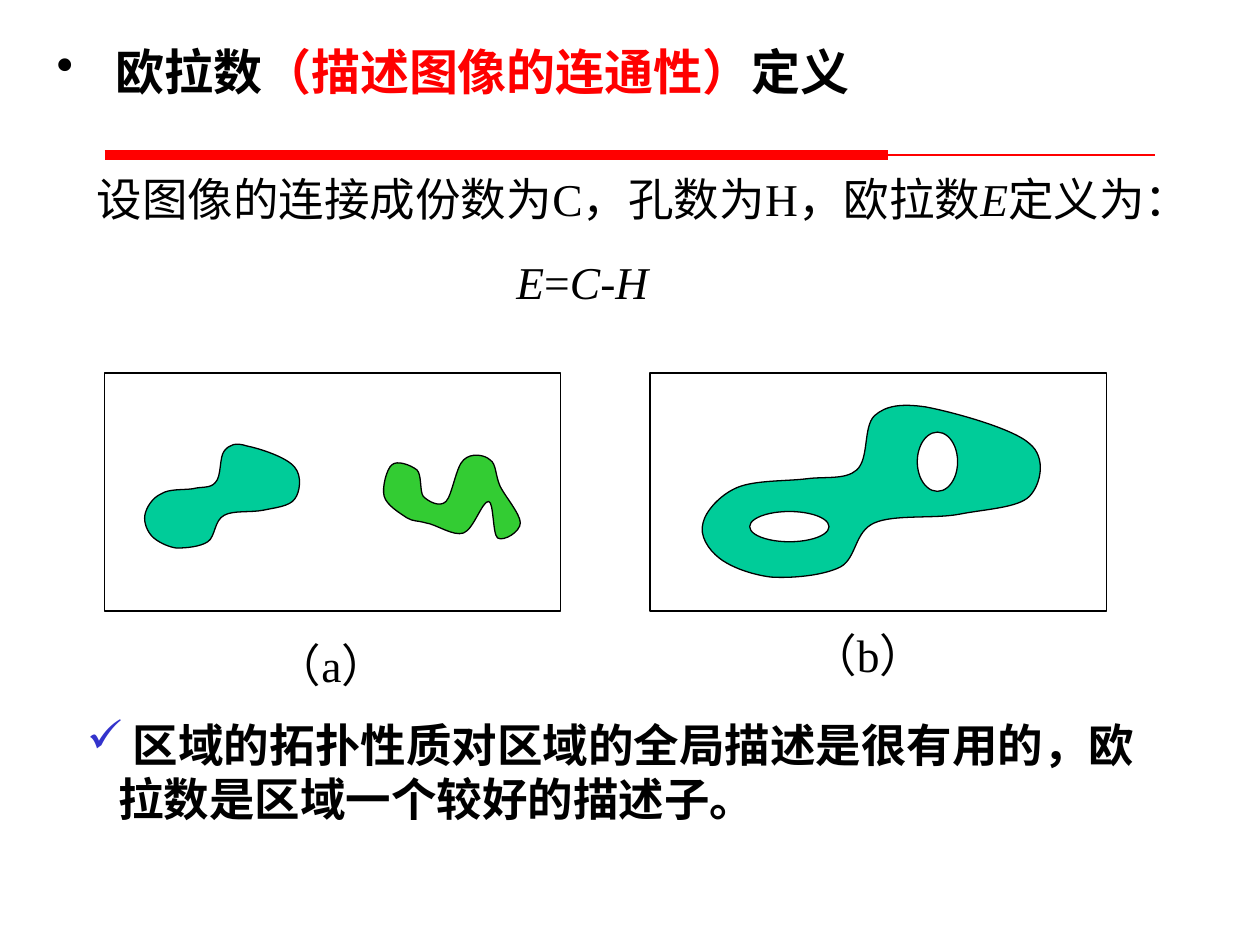
"""Build a slide that defines the Euler number of an image."""
from lxml import etree
from pptx import Presentation
from pptx import util as u
from pptx.dml import color
from pptx.enum import shapes, text
from pptx.oxml import ns

COLS, ROWS = 1000, 750
CELL = u.Inches(10) // COLS
BLACK, WHITE, RED, TEAL, GREEN, BLUE = (
    "000000", "FFFFFF", "FF0000", "00CC99", "33CC33", "3333CC")
BASE = {"name": "Times New Roman", "size": u.Pt(26), "bold": False, "italic": False}
HEAD = {"size": u.Pt(28), "bold": True}
SLANT = {"italic": True}

LEFT_BLOB = [
    (121, 426), (117, 422), (114, 415), (115, 409), (116, 403), (121, 395), (128, 392),
    (134, 388), (145, 389), (153, 388), (160, 386), (167, 388), (171, 383),
    (176, 378), (174, 363), (178, 358), (182, 353), (187, 351), (196, 354),
    (206, 356), (228, 363), (234, 371), (240, 378), (238, 391), (234, 396),
    (230, 402), (218, 403), (209, 405), (199, 407), (185, 405), (178, 409),
    (170, 413), (171, 426), (165, 430), (159, 434), (148, 435), (140, 435),
    (133, 434), (125, 430), (121, 426)]
WAVE = [
    (323, 411), (317, 407), (307, 401), (305, 394), (303, 387), (307, 372), (311, 369),
    (315, 365), (326, 369), (331, 373), (335, 377), (333, 390), (336, 394),
    (340, 398), (349, 403), (354, 398), (359, 393), (362, 370), (368, 365),
    (374, 359), (385, 361), (389, 365), (394, 368), (393, 377), (397, 386),
    (401, 394), (413, 408), (413, 415), (413, 422), (400, 430), (395, 427),
    (391, 424), (392, 399), (388, 398), (383, 397), (376, 420), (368, 423),
    (360, 426), (346, 416), (338, 415), (331, 413), (328, 414), (323, 411)]
RIGHT_BLOB = [
    (571, 443), (562, 436), (555, 425), (558, 415), (560, 406), (571, 393), (585, 387),
    (599, 381), (624, 382), (640, 380), (655, 378), (671, 381), (680, 373),
    (690, 364), (685, 339), (694, 330), (703, 322), (715, 320), (735, 323),
    (756, 327), (804, 340), (817, 352), (831, 363), (826, 385), (817, 394),
    (808, 403), (783, 404), (762, 408), (742, 412), (710, 408), (694, 415),
    (678, 422), (680, 443), (667, 450), (653, 457), (628, 459), (612, 458),
    (596, 456), (580, 450), (571, 443)]


def tint(code):
    """Turn a hex string into a colour."""
    return color.RGBColor.from_string(code)


def grid(*cells):
    """Turn counts of grid cells into lengths."""
    return [u.Emu(CELL * n) for n in cells]


def paint(shape, fill):
    """Give a shape a flat fill and a thin black outline."""
    shape.shadow.inherit = False
    shape.fill.solid()
    shape.fill.fore_color.rgb = tint(fill)
    shape.line.color.rgb = tint(BLACK)
    shape.line.width = u.Pt(0.75)


def rule(slide, start, end, row, width):
    """Draw a level red line between two columns."""
    line = slide.shapes.add_connector(
        shapes.MSO_CONNECTOR.STRAIGHT, *grid(start, row, end, row))
    line.line.color.rgb = tint(RED)
    line.line.width = u.Pt(width)
    etree.SubElement(line._element.spPr, ns.qn("a:effectLst"))


def block(slide, kind, fill, *cells):
    """Draw a preset shape on the grid."""
    paint(slide.shapes.add_shape(kind, *grid(*cells)), fill)


def blob(slide, fill, points):
    """Draw a closed outline whose points form cubic curves."""
    pen = slide.shapes.build_freeform(*points[0], scale=CELL)
    pen.add_line_segments(points[1:], close=True)
    shape = pen.convert_to_shape()
    steps = list(shape._element.iter(ns.qn("a:lnTo")))
    for first in range(0, len(steps), 3):
        curve = etree.Element(ns.qn("a:cubicBezTo"))
        steps[first].addprevious(curve)
        for step in steps[first:first + 3]:
            curve.append(step[0])
            step.getparent().remove(step)
    paint(shape, fill)


def indent(para, left, hang=0):
    """Set the left margin and hanging indent in grid cells."""
    props = para._p.get_or_add_pPr()
    props.set("marL", str(CELL * left))
    props.set("indent", str(-CELL * hang))
    return props


def bullet(para, mark, code, left):
    """Put a coloured bullet in front of a paragraph."""
    props = indent(para, left, left)
    shade = etree.SubElement(props, ns.qn("a:buClr"))
    etree.SubElement(shade, ns.qn("a:srgbClr"), val=code)
    etree.SubElement(props, ns.qn("a:buChar"), char=mark)


def write(para, *runs):
    """Add runs given as words, format and colour."""
    for words, form, code in runs:
        run = para.add_run()
        run.text = words
        for key, value in {**BASE, **form}.items():
            setattr(run.font, key, value)
        run.font.color.rgb = tint(code)


def frame(slide, *cells):
    """Add a wrapping text box and return its text frame."""
    body = slide.shapes.add_textbox(*grid(*cells)).text_frame
    body.word_wrap = True
    return body


def title(slide):
    """Write the heading and the rule below it."""
    rule(slide, 83, 705, 123, 6)
    rule(slide, 90, 917, 123, 0.75)
    para = frame(slide, 35, 28, 685, 63).paragraphs[0]
    para.alignment = text.PP_ALIGN.JUSTIFY
    bullet(para, "•", BLACK, 38)
    write(para, (" 欧拉数", HEAD, BLACK), ("（描述图像的连通性）", HEAD, RED),
          ("定义", HEAD, BLACK))


def define(slide):
    """Write the definition and its formula."""
    body = frame(slide, 67, 131, 874, 163)
    write(body.paragraphs[0], ("设图像的连接成份数为C，孔数为H，欧拉数", {}, BLACK),
          ("E", SLANT, BLACK), ("定义为：", {}, BLACK))
    para = body.add_paragraph()
    para.space_before = u.Pt(16.2)
    indent(para, 333)
    write(para, *[(sign, SLANT if sign.isalpha() else {}, BLACK) for sign in "E=C-H"])


def main():
    """Build and save the slide."""
    deck = Presentation()
    deck.slide_width, deck.slide_height = grid(COLS, ROWS)
    slide = deck.slides.add_slide(deck.slide_layouts[6])
    title(slide)
    box, oval = shapes.MSO_SHAPE.RECTANGLE, shapes.MSO_SHAPE.OVAL
    for left in (83, 516):
        block(slide, box, WHITE, left, 296, 362, 189)
    for fill, points in ((GREEN, WAVE), (TEAL, LEFT_BLOB), (TEAL, RIGHT_BLOB)):
        blob(slide, fill, points)
    for hole in ((595, 406, 63, 24), (728, 343, 32, 47)):
        block(slide, oval, WHITE, *hole)
    define(slide)
    note = frame(slide, 59, 564, 858, 97).paragraphs[0]
    bullet(note, "✓", BLUE, 25)
    write(note, (" 区域的拓扑性质对区域的全局描述是很有用的，欧拉数是区域一个较好的描述子。",
                 {"bold": True}, BLACK))
    for label, left, top in (("（a）", 209, 501), ("（b）", 634, 493)):
        write(frame(slide, left, top, 165, 54).paragraphs[0], (label, {}, BLACK))
    deck.save("out.pptx")


if __name__ == "__main__":
    main()
